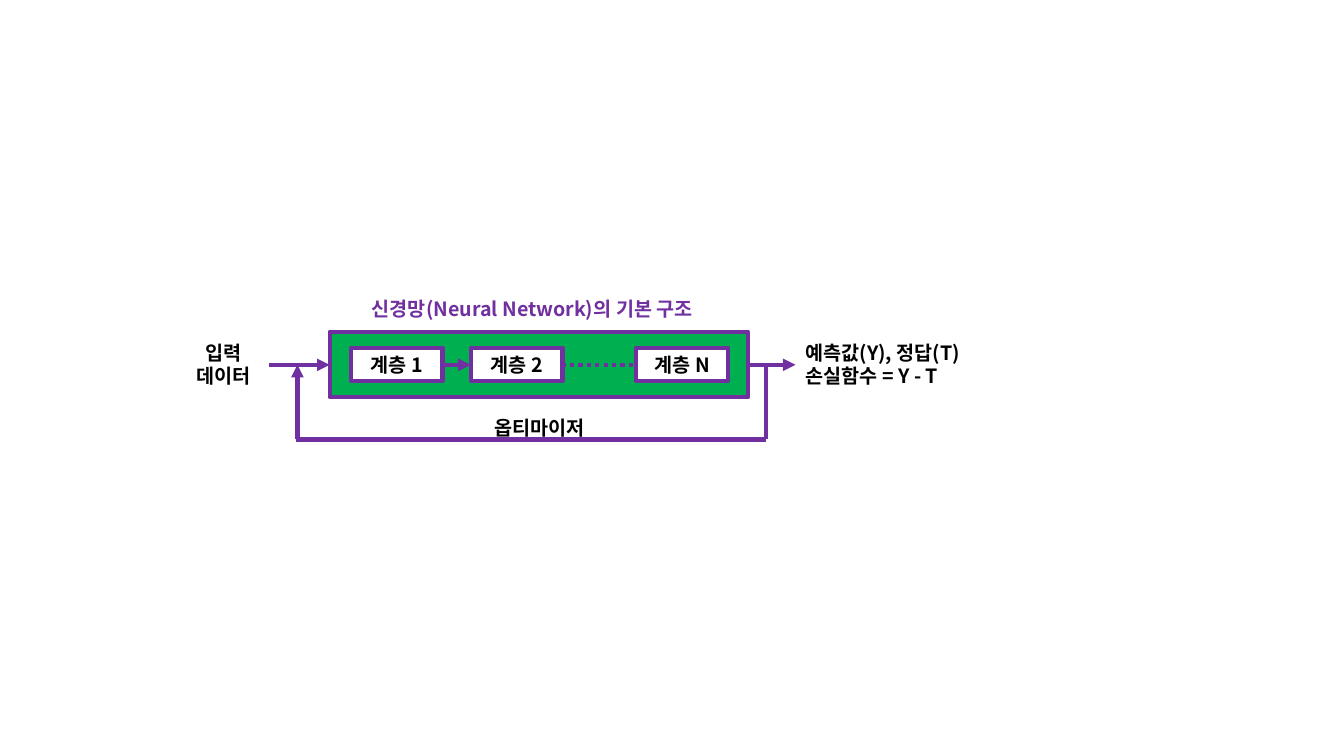
import pptx
import pptx.util
import pptx.dml.color
import pptx.enum.dml
import pptx.enum.shapes
import pptx.enum.text
import pptx.oxml.ns
from lxml import etree

Inches = pptx.util.Inches
Pt = pptx.util.Pt
RGB = pptx.dml.color.RGBColor.from_string
ALIGN = pptx.enum.text.PP_ALIGN
ANCHOR = pptx.enum.text.MSO_ANCHOR
RECT = pptx.enum.shapes.MSO_SHAPE.RECTANGLE
DOTS = pptx.enum.dml.MSO_LINE.ROUND_DOT
qn = pptx.oxml.ns.qn

theme = {
    "line": RGB("7030A0"), "net": RGB("00B050"),
    "ink": RGB("000000"), "box": RGB("FFFFFF"), "width": Pt(3),
    "font": {"name": "Noto Sans CJK KR", "size": Pt(14), "bold": True},
}


def write(shape, lines, color=theme["ink"], align=ALIGN.CENTER, anchor=ANCHOR.TOP):
    frame = shape.text_frame
    look = {"word_wrap": True, "auto_size": pptx.enum.text.MSO_AUTO_SIZE.NONE,
            "vertical_anchor": anchor, "margin_left": Inches(0.1),
            "margin_right": Inches(0.1), "margin_top": Inches(0.05),
            "margin_bottom": Inches(0.05)}
    for key, value in look.items():
        setattr(frame, key, value)
    frame.text = "\n".join(lines)
    for para in frame.paragraphs:
        para.alignment = align
        font = para.runs[0].font
        for key, value in theme["font"].items():
            setattr(font, key, value)
        font.color.rgb = color
        east = etree.SubElement(para.runs[0]._r.get_or_add_rPr(), qn("a:ea"))
        east.set("typeface", theme["font"]["name"])


def block(x, y, w, h, fill):
    shape = slide.shapes.add_shape(RECT, Inches(x), Inches(y), Inches(w), Inches(h))
    shape.shadow.inherit = False
    shape.fill.solid()
    shape.fill.fore_color.rgb = fill
    shape.line.color.rgb = theme["line"]
    shape.line.width = theme["width"]
    return shape


deck = pptx.Presentation()
deck.slide_width, deck.slide_height = Inches(13.33), Inches(7.5)
slide = deck.slides.add_slide(deck.slide_layouts[5])

# Title
title = slide.shapes.title
spot = {"left": 3.45, "top": 2.9, "width": 3.66, "height": 0.34}
for key, value in spot.items():
    setattr(title, key, Inches(value))
write(title, ["신경망(Neural Network)의 기본 구조"], theme["line"])

# Network and its layers
block(3.27, 3.29, 4.15, 0.65, theme["net"])
for x, name in [(3.48, "1"), (4.67, "2"), (6.31, "N")]:
    layer = block(x, 3.45, 0.91, 0.33, theme["box"])
    write(layer, [f"계층 {name}"], anchor=ANCHOR.MIDDLE)

# Labels
labels = [
    (1.76, 3.33, 0.91, 0.57, ["입력", "데이터"], ALIGN.CENTER),
    (7.89, 3.33, 1.75, 0.57, ["예측값(Y), 정답(T)", "손실함수 = Y - T"], ALIGN.LEFT),
    (4.67, 4.08, 1.36, 0.34, ["옵티마이저"], ALIGN.CENTER),
]
for x, y, w, h, lines, align in labels:
    label = slide.shapes.add_textbox(Inches(x), Inches(y), Inches(w), Inches(h))
    write(label, lines, align=align)

# Data flow and the feedback loop
flow, back = 3.62, 4.36
start, end = 2.95, 7.6
links = [
    (4.38, flow, 4.67, flow, "arrow"),
    (5.57, flow, 6.31, flow, "dots"),
    (2.67, flow, 3.27, flow, "arrow"),
    (7.42, flow, 7.89, flow, "arrow"),
    (end, back, start - 0.01, back, "plain"),
    (end, back, end, flow, "plain"),
    (start, back, start, flow, "arrow"),
]
for x1, y1, x2, y2, kind in links:
    link = slide.shapes.add_connector(
        pptx.enum.shapes.MSO_CONNECTOR.STRAIGHT,
        Inches(x1), Inches(y1), Inches(x2), Inches(y2))
    link.line.color.rgb = theme["line"]
    link.line.width = theme["width"]
    if kind == "dots":
        link.line.dash_style = DOTS
    if kind == "arrow":
        tip = etree.SubElement(link.line._get_or_add_ln(), qn("a:tailEnd"))
        tip.set("type", "triangle")
    etree.SubElement(link._element.spPr, qn("a:effectLst"))

deck.save("out.pptx")
